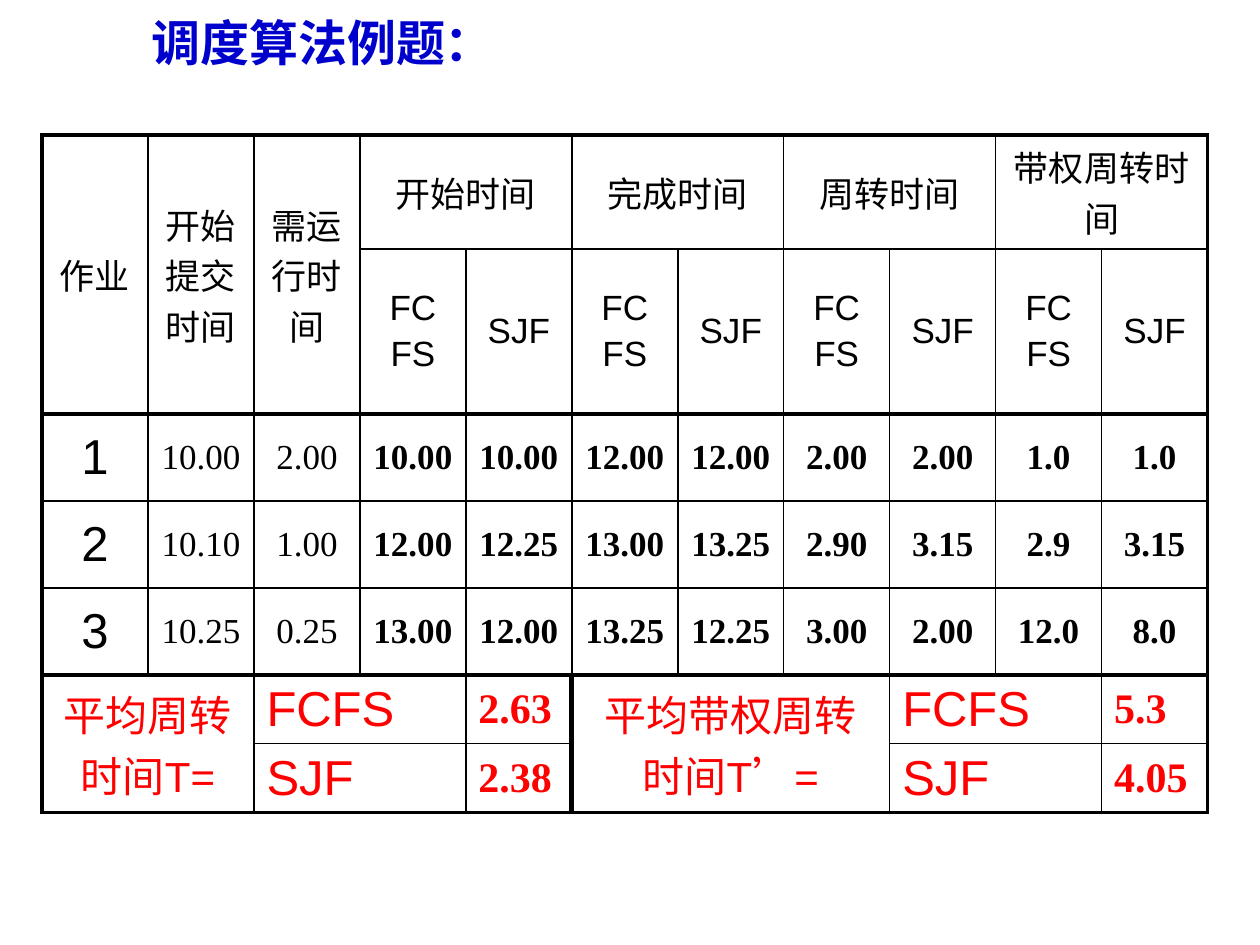
from lxml import etree
from pptx import Presentation
from pptx import util as u
from pptx.dml.color import RGBColor
from pptx.enum import text
from pptx.oxml import ns

PX = 914400 // 126
BLACK = RGBColor(0x00, 0x00, 0x00)
BLUE = RGBColor(0x00, 0x00, 0xCC)
RED = RGBColor(0xFF, 0x00, 0x00)
SANS, SERIF = "Arial", "Times New Roman"
COLUMNS = 11
COLUMN_WIDTH = 106
ROW_HEIGHTS = [114, 165, 87, 87, 87, 67, 67]
ROWS = len(ROW_HEIGHTS)
HORIZONTAL_WIDTHS = [2.25, 1, 3, 1, 1, 3, 1, 2.25]


def add_run(paragraph, words, font_name, size, color, bold=False):
    run = paragraph.add_run()
    run.text = words
    run.font.name = font_name
    run.font.size = u.Pt(size)
    run.font.color.rgb = color
    run.font.bold = bold


def add_border(cell, side, width):
    properties = cell._tc.get_or_add_tcPr()
    line = etree.SubElement(properties, ns.qn(f"a:ln{side}"), w=str(int(u.Pt(width))))
    fill = etree.SubElement(line, ns.qn("a:solidFill"))
    etree.SubElement(fill, ns.qn("a:srgbClr"), val=str(BLACK))


presentation = Presentation()
presentation.slide_width = u.Inches(10)
presentation.slide_height = u.Inches(7.5)
slide = presentation.slides.add_slide(presentation.slide_layouts[6])

title = slide.shapes.add_textbox(139 * PX, 6 * PX, 501 * PX, 59 * PX)
title.text_frame.word_wrap = True
add_run(title.text_frame.paragraphs[0], "调度算法例题：", SERIF, 28, BLUE, True)

frame = slide.shapes.add_table(
    ROWS, COLUMNS, 42 * PX, 135 * PX, COLUMNS * COLUMN_WIDTH * PX, sum(ROW_HEIGHTS) * PX
)
table = frame.table
table.first_row = False
table.horz_banding = False
for column in table.columns:
    column.width = COLUMN_WIDTH * PX
for row, height in zip(table.rows, ROW_HEIGHTS):
    row.height = height * PX

spans = {(0, column): (2, 1) for column in range(3)}
spans.update({(0, column): (1, 2) for column in range(3, COLUMNS, 2)})
spans.update({(5, 0): (2, 2), (5, 5): (2, 3)})
spans.update({(row, column): (1, 2) for row in (5, 6) for column in (2, 8)})

regions = {}
for (top, left), (height, width) in spans.items():
    bottom, right = top + height, left + width
    table.cell(top, left).merge(table.cell(bottom - 1, right - 1))
    for row in range(top, bottom):
        for column in range(left, right):
            regions[row, column] = (top, left, bottom, right)

for row in range(ROWS):
    for column in range(COLUMNS):
        cell = table.cell(row, column)
        top, left, bottom, right = regions.get((row, column), (row, column, row + 1, column + 1))
        vertical_widths = {0: 2.25, COLUMNS: 2.25}
        if row >= 5:
            vertical_widths[5] = 3
        add_border(cell, "L", vertical_widths.get(left, 1))
        add_border(cell, "R", vertical_widths.get(right, 1))
        add_border(cell, "T", HORIZONTAL_WIDTHS[top])
        add_border(cell, "B", HORIZONTAL_WIDTHS[bottom])
        cell.fill.background()
        cell.vertical_anchor = text.MSO_ANCHOR.MIDDLE
        cell.margin_top = cell.margin_bottom = 5 * PX

headings = ["作业", "开始提交时间", "需运行时间", "开始时间", "完成时间", "周转时间", "带权周转时间"]
heading_columns = [0, 1, 2, 3, 5, 7, 9]
entries = [(0, column, words, SANS, 20, BLACK, False, True)
           for column, words in zip(heading_columns, headings)]
for column in range(3, COLUMNS, 2):
    entries.append((1, column, "FC\nFS", SANS, 20, BLACK, False, True))
    entries.append((1, column + 1, "SJF", SANS, 20, BLACK, False, True))

jobs = [
    ["1", "10.00", "2.00", "10.00", "10.00", "12.00", "12.00", "2.00", "2.00", "1.0", "1.0"],
    ["2", "10.10", "1.00", "12.00", "12.25", "13.00", "13.25", "2.90", "3.15", "2.9", "3.15"],
    ["3", "10.25", "0.25", "13.00", "12.00", "13.25", "12.25", "3.00", "2.00", "12.0", "8.0"],
]
for row, job in enumerate(jobs, 2):
    entries.append((row, 0, job[0], SANS, 28, BLACK, False, True))
    for column, value in enumerate(job[1:], 1):
        entries.append((row, column, value, SERIF, 20, BLACK, column >= 3, True))

averages = [
    (0, "平均周转时间T=", 2, 4, ["2.63", "2.38"]),
    (5, "平均带权周转时间T’=", 8, 10, ["5.3", "4.05"]),
]
for label_column, label, method_column, value_column, values in averages:
    entries.append((5, label_column, label, SANS, 24, RED, False, True))
    for row, method, value in zip((5, 6), ("FCFS", "SJF"), values):
        entries.append((row, method_column, method, SANS, 28, RED, False, False))
        entries.append((row, value_column, value, SERIF, 24, RED, True, False))

for row, column, words, font_name, size, color, bold, centered in entries:
    text_frame = table.cell(row, column).text_frame
    for index, words_line in enumerate(words.split("\n")):
        paragraph = text_frame.add_paragraph() if index else text_frame.paragraphs[0]
        if index:
            paragraph.space_before = u.Pt(4)
        paragraph.alignment = text.PP_ALIGN.CENTER if centered else text.PP_ALIGN.LEFT
        add_run(paragraph, words_line, font_name, size, color, bold)

presentation.save("out.pptx")
